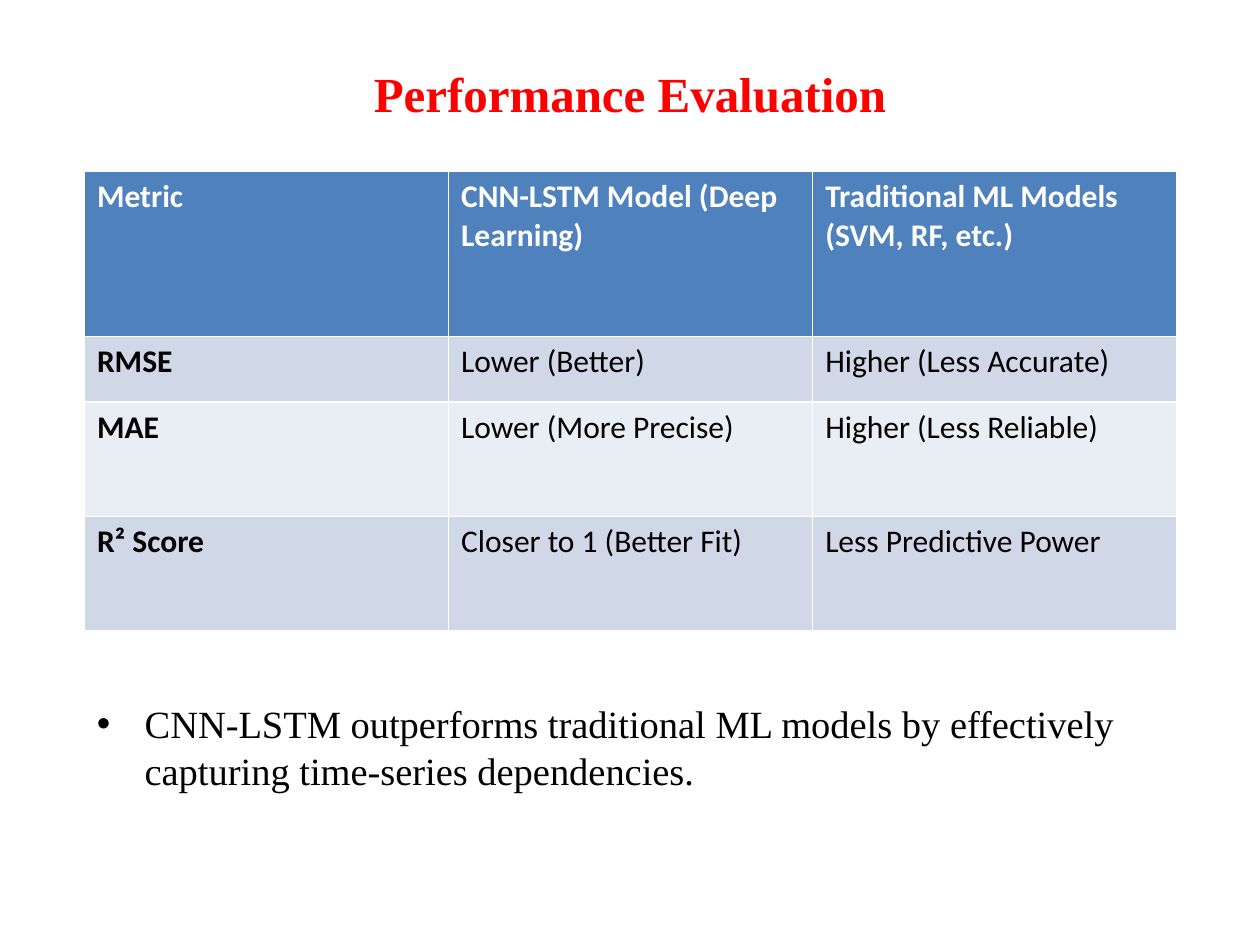
from lxml import etree
from pptx import Presentation
from pptx import util as u
from pptx.dml.color import RGBColor
from pptx.enum import text
from pptx.oxml.ns import qn

PX = 9144  # EMU per px, 100 px to the inch

RED = RGBColor(0xFF, 0x00, 0x00)
BLACK = RGBColor(0x00, 0x00, 0x00)
WHITE = RGBColor(0xFF, 0xFF, 0xFF)
HEADER_BLUE = RGBColor(0x4F, 0x81, 0xBD)
BANDS = (RGBColor(0xD0, 0xD8, 0xE8), RGBColor(0xE9, 0xED, 0xF4))

SERIF = "Times New Roman"
SANS = "Calibri"

METRICS = [
    ("Metric", "CNN-LSTM Model (Deep Learning)", "Traditional ML Models (SVM, RF, etc.)"),
    ("RMSE", "Lower (Better)", "Higher (Less Accurate)"),
    ("MAE", "Lower (More Precise)", "Higher (Less Reliable)"),
    ("R² Score", "Closer to 1 (Better Fit)", "Less Predictive Power"),
]
ROW_HEIGHTS = (131, 52, 91, 91)
FINDING = ("CNN-LSTM outperforms traditional ML models by effectively "
           "capturing time-series dependencies.")


def emu(*lengths):
    return [u.Emu(length * PX) for length in lengths]


def add_run(paragraph, words, font_name, size, color, bold=False):
    run = paragraph.add_run()
    run.text = words
    run.font.name = font_name
    run.font.size = u.Pt(size)
    run.font.bold = bold
    run.font.color.rgb = color


def place_title(slide, box, words):
    title = slide.shapes.title
    title.left, title.top, title.width, title.height = emu(*box)
    frame = title.text_frame
    frame.vertical_anchor = text.MSO_ANCHOR.MIDDLE
    heading = frame.paragraphs[0]
    heading.alignment = text.PP_ALIGN.CENTER
    add_run(heading, words, SERIF, 28, RED, bold=True)


def place_metrics(slide, box):
    """Comparison table; its style draws the white rules between cells."""
    table = slide.shapes.add_table(len(METRICS), len(METRICS[0]), *emu(*box)).table
    for column in table.columns:
        column.width = u.Emu(box[2] * PX // len(METRICS[0]))
    for r, (height, entries) in enumerate(zip(ROW_HEIGHTS, METRICS)):
        table.rows[r].height = u.Emu(height * PX)
        is_header = r == 0
        for c, entry in enumerate(entries):
            cell = table.cell(r, c)
            cell.fill.solid()
            cell.fill.fore_color.rgb = HEADER_BLUE if is_header else BANDS[(r - 1) % 2]
            add_run(cell.text_frame.paragraphs[0], entry, SANS, 18,
                    WHITE if is_header else BLACK, bold=is_header or c == 0)


def place_finding(slide, box, words):
    frame = slide.shapes.add_textbox(*emu(*box)).text_frame
    frame.word_wrap = True
    finding = frame.paragraphs[0]
    properties = finding._p.get_or_add_pPr()
    indent = 38 * PX
    properties.set("marL", str(indent))
    properties.set("indent", str(-indent))
    etree.SubElement(properties, qn("a:buFont"), typeface="Arial")
    etree.SubElement(properties, qn("a:buChar"), char="•")
    add_run(finding, words, SERIF, 22, BLACK)


def main():
    deck = Presentation()
    deck.slide_width, deck.slide_height = emu(1000, 750)
    slide = deck.slides.add_slide(deck.slide_layouts[5])
    place_title(slide, (50, 11, 900, 125), "Performance Evaluation")
    place_metrics(slide, (67, 136, 867, sum(ROW_HEIGHTS)))
    place_finding(slide, (67, 551, 867, 178), FINDING)
    deck.save("out.pptx")


if __name__ == "__main__":
    main()
